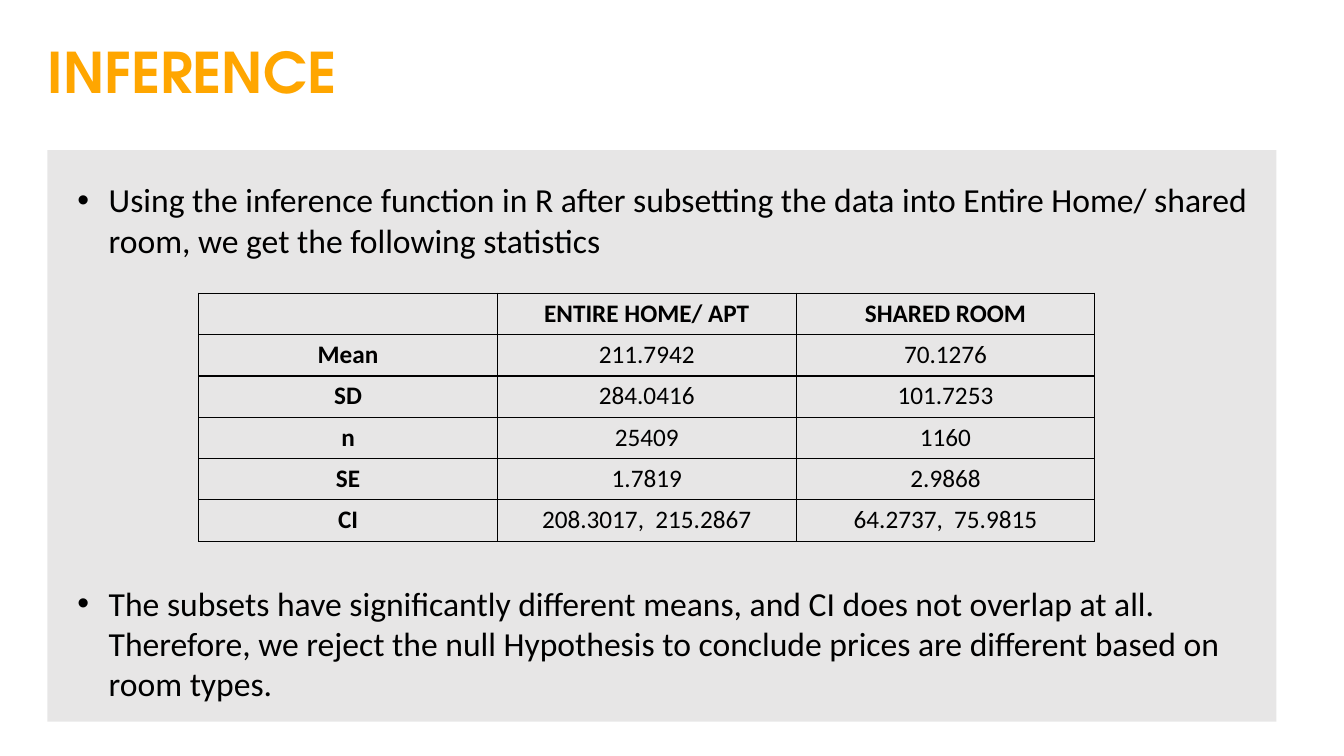
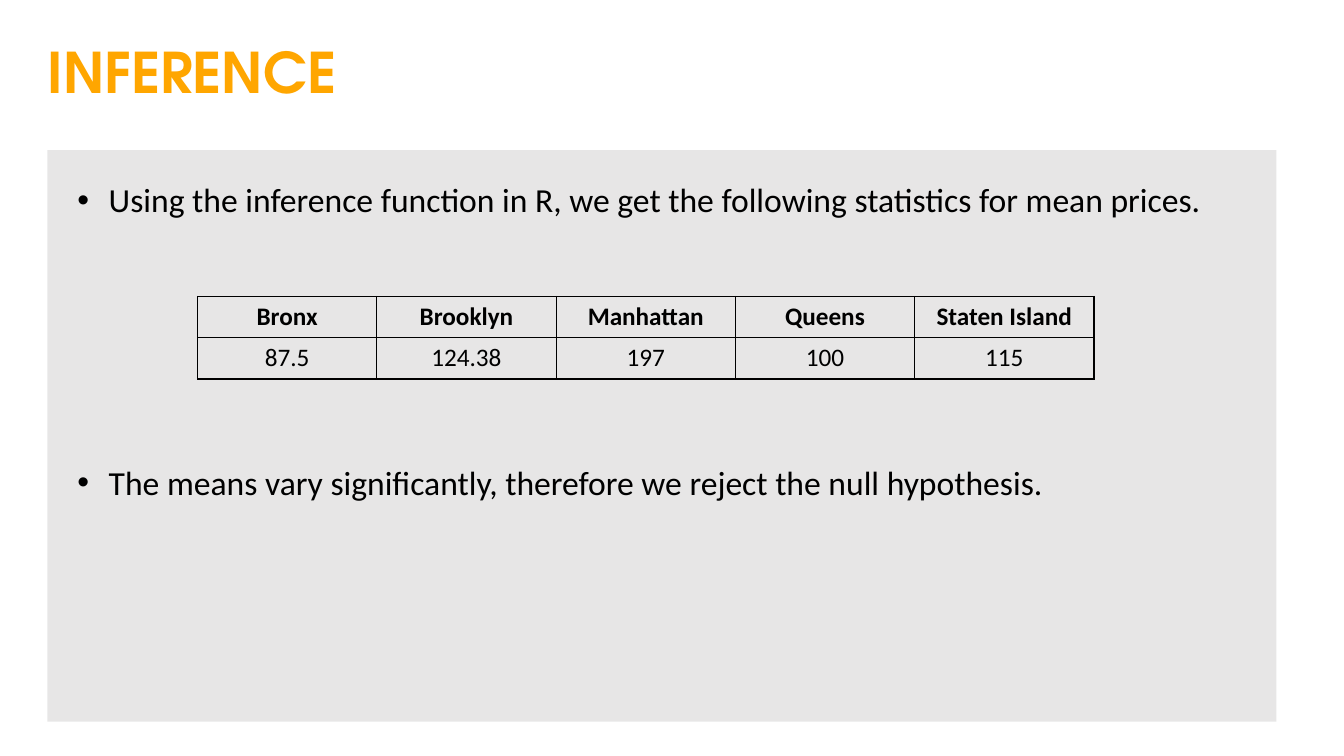
from dataclasses import dataclass

from lxml import etree
from pptx import Presentation
from pptx.dml.color import RGBColor
from pptx.enum import shapes, text as txt
from pptx.oxml import ns
from pptx.util import Inches, Pt

COLORS = {"title": "FFA600", "panel": "D0CECE", "ink": "000000"}
TITLE_FONT = "TeX Gyre Adventor"
BODY_FONT = "Calibri"
TITLE_ONLY = 5
MARGIN = 0.47
LINE_PITCH = 28.8  # points per line of 24 pt body text
TABLE_WIDTH, ROW_HEIGHT = 8.89, 0.41


@dataclass
class Inference:
    finding: str
    conclusion: str
    gap_lines: int
    table_left: float
    table_top: float
    statistics: list[list[str]]
    row_labels: bool


INFERENCES = [
    Inference(
        "Using the inference function in R after subsetting the data into Entire Home/ shared room, "
        "we get the following statistics",
        "The subsets have significantly different means, and CI does not overlap at all. "
        "Therefore, we reject the null Hypothesis to conclude prices are different based on room types.",
        8, 1.97, 2.91,
        [
            ["", "ENTIRE HOME/ APT", "SHARED ROOM"],
            ["Mean", "211.7942", "70.1276"],
            ["SD", "284.0416", "101.7253"],
            ["n", "25409", "1160"],
            ["SE", "1.7819", "2.9868"],
            ["CI", "208.3017,  215.2867", "64.2737,  75.9815"],
        ],
        True,
    ),
    Inference(
        "Using the inference function in R, we get the following statistics for mean prices.",
        "The means vary significantly, therefore we reject the null hypothesis.",
        6, 1.96, 2.94,
        [
            ["Bronx", "Brooklyn", "Manhattan", "Queens", "Staten Island"],
            ["87.5", "124.38", "197", "100", "115"],
        ],
        False,
    ),
]


def write(paragraph, content: str, *, size: float, font: str = BODY_FONT, color: str = "ink",
          bold: bool = False, align=txt.PP_ALIGN.LEFT) -> None:
    paragraph.alignment = align
    run = paragraph.add_run()
    run.text = content
    run.font.size = Pt(size)
    run.font.name = font
    run.font.bold = bold
    run.font.color.rgb = RGBColor.from_string(COLORS[color])


def add_title(slide, heading: str) -> None:
    title = slide.shapes.title
    title.left, title.top = Inches(MARGIN), Inches(0.44)
    title.width, title.height = Inches(8.66), Inches(0.61)
    frame = title.text_frame
    frame.margin_left = frame.margin_right = frame.margin_top = frame.margin_bottom = 0
    frame.vertical_anchor = txt.MSO_ANCHOR.MIDDLE
    frame.auto_size = txt.MSO_AUTO_SIZE.NONE
    frame.paragraphs[0].line_spacing = 0.9
    write(frame.paragraphs[0], heading, size=40, font=TITLE_FONT, color="title", bold=True)


def add_panel(slide) -> None:
    panel = slide.shapes.add_shape(shapes.MSO_SHAPE.RECTANGLE, Inches(MARGIN), Inches(1.49),
                                   Inches(12.19), Inches(5.67))
    panel.shadow.inherit = False
    panel.line.fill.background()
    panel.fill.solid()
    panel.fill.fore_color.rgb = RGBColor.from_string(COLORS["panel"])
    fill_color = panel.fill._xPr.find(".//" + ns.qn("a:srgbClr"))
    etree.SubElement(fill_color, ns.qn("a:alpha"), val="50000")


def make_bullet(paragraph) -> None:
    properties = paragraph._p.get_or_add_pPr()
    properties.set("marL", str(Inches(0.31)))
    properties.set("indent", str(-Inches(0.31)))
    etree.SubElement(properties, ns.qn("a:buFont"), typeface="Arial")
    etree.SubElement(properties, ns.qn("a:buChar"), char="•")


def add_bullets(slide, inference: Inference) -> None:
    """Write the finding and the conclusion, leaving room for the table between them."""
    body = slide.shapes.add_textbox(Inches(0.67), Inches(1.73), Inches(11.81), Inches(5.4))
    frame = body.text_frame
    frame.word_wrap = True
    finding, conclusion = frame.paragraphs[0], frame.add_paragraph()
    for paragraph, content in ((finding, inference.finding), (conclusion, inference.conclusion)):
        make_bullet(paragraph)
        write(paragraph, content, size=24)
    conclusion.space_before = Pt(inference.gap_lines * LINE_PITCH)


def add_borders(cell) -> None:
    properties = cell._tc.get_or_add_tcPr()
    for position, side in enumerate(("lnL", "lnR", "lnT", "lnB")):
        border = etree.Element(ns.qn(f"a:{side}"), w=str(Pt(1)))
        fill = etree.SubElement(border, ns.qn("a:solidFill"))
        etree.SubElement(fill, ns.qn("a:srgbClr"), val=COLORS["ink"])
        properties.insert(position, border)


def add_statistics(slide, inference: Inference) -> None:
    rows, columns = len(inference.statistics), len(inference.statistics[0])
    table = slide.shapes.add_table(
        rows, columns, Inches(inference.table_left), Inches(inference.table_top),
        Inches(TABLE_WIDTH), Inches(ROW_HEIGHT * rows)).table
    table.first_row = table.horz_banding = False
    for r, values in enumerate(inference.statistics):
        for c, value in enumerate(values):
            cell = table.cell(r, c)
            cell.fill.background()
            add_borders(cell)
            if value:
                is_label = r == 0 or (inference.row_labels and c == 0)
                write(cell.text_frame.paragraphs[0], value, size=18, bold=is_label,
                      align=txt.PP_ALIGN.CENTER)


def main() -> None:
    deck = Presentation()
    deck.slide_width, deck.slide_height = Inches(13.33), Inches(7.5)
    for inference in INFERENCES:
        slide = deck.slides.add_slide(deck.slide_layouts[TITLE_ONLY])
        add_title(slide, "INFERENCE")
        add_panel(slide)
        add_bullets(slide, inference)
        add_statistics(slide, inference)
    deck.save("out.pptx")


if __name__ == "__main__":
    main()
